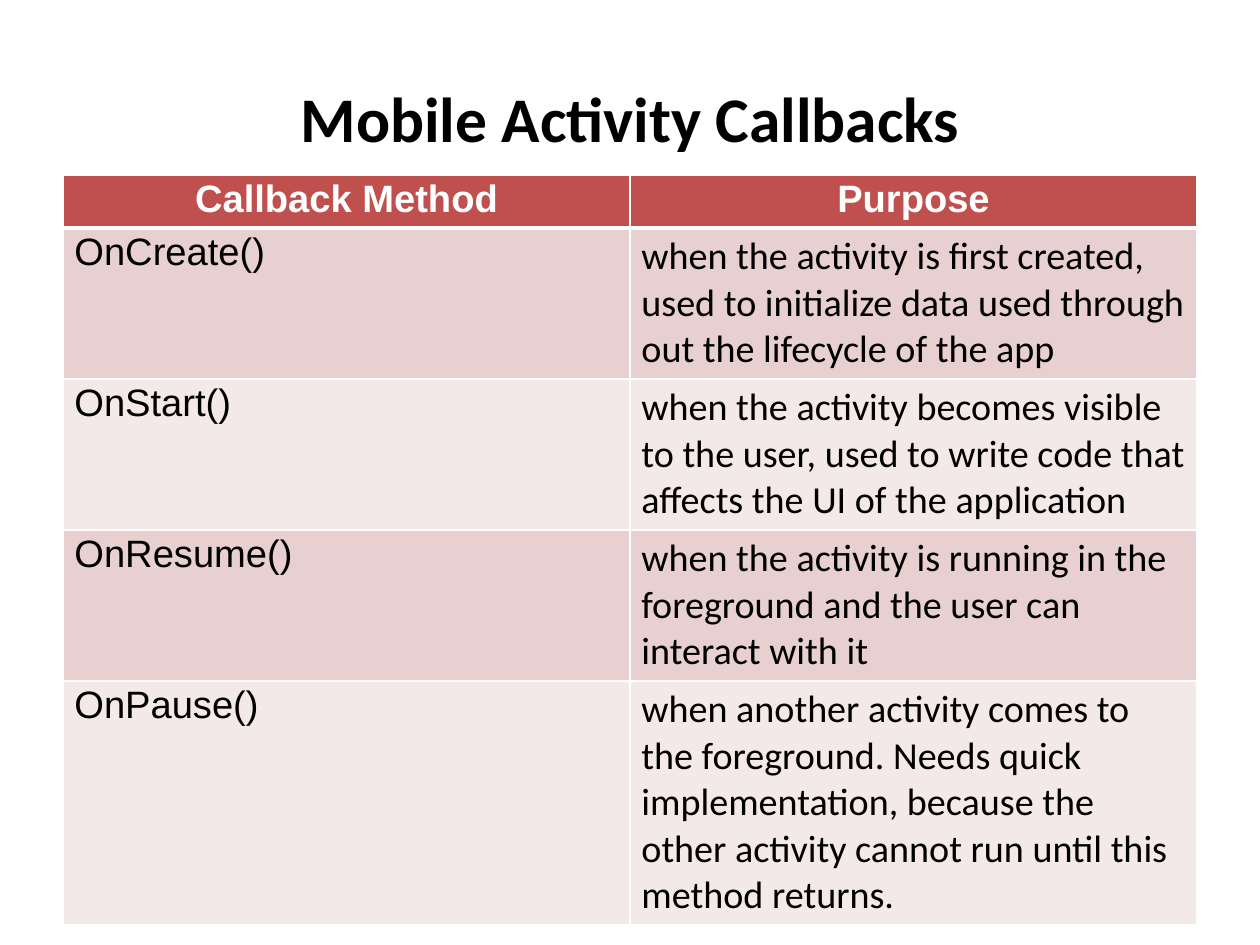
from dataclasses import dataclass

import pptx
import pptx.dml.color
import pptx.enum.text
import pptx.oxml
import pptx.oxml.ns
import pptx.table
import pptx.text.text
import pptx.util

EMU_PER_PX = 8000
SLIDE_SIZE = (1260, 945)
TITLE_BOX = (63, 38, 1134, 158)
TABLE_LEFT, TABLE_TOP = 63, 175
COLUMN_WIDTH = 567
HEADER_FILL = "C0504D"
BAND_FILLS = ("E8D0D0", "F4E9E9")
CENTER = pptx.enum.text.PP_ALIGN.CENTER
LEFT = pptx.enum.text.PP_ALIGN.LEFT


@dataclass(frozen=True)
class TextStyle:
    font: str
    size: int
    color: str = "000000"
    bold: bool = False
    alignment: pptx.enum.text.PP_ALIGN = LEFT
    line_spacing: float = 1.0


@dataclass(frozen=True)
class Callback:
    method: str
    purpose: str
    height: int


TITLE_STYLE = TextStyle("Calibri", 40, bold=True, alignment=CENTER)
HEADER_STYLE = TextStyle("Arial", 24, "FFFFFF", True, CENTER, 0.93)
METHOD_STYLE = TextStyle("Arial", 24, line_spacing=0.93)
PURPOSE_STYLE = TextStyle("Calibri", 24)

HEADER = Callback("Callback Method", "Purpose", 53)
CALLBACKS = (
    Callback(
        "OnCreate()",
        "when the activity is first created, used to initialize data used "
        "through out the lifecycle of the app",
        151,
    ),
    Callback(
        "OnStart()",
        "when the activity becomes visible to the user, used to write code "
        "that affects the UI of the application",
        151,
    ),
    Callback(
        "OnResume()",
        "when the activity is running in the foreground and the user can "
        "interact with it",
        151,
    ),
    Callback(
        "OnPause()",
        "when another activity comes to the foreground. Needs quick "
        "implementation, because the other activity cannot run until this "
        "method returns.",
        243,
    ),
)


def px(length: int) -> pptx.util.Emu:
    return pptx.util.Emu(length * EMU_PER_PX)


def rgb(color: str) -> pptx.dml.color.RGBColor:
    return pptx.dml.color.RGBColor.from_string(color)


def set_attributes(target: object, values: dict) -> None:
    for name, value in values.items():
        setattr(target, name, value)


def write_text(frame: pptx.text.text.TextFrame, text: str, style: TextStyle) -> None:
    paragraph = frame.paragraphs[0]
    set_attributes(
        paragraph,
        {"alignment": style.alignment, "line_spacing": style.line_spacing},
    )
    run = paragraph.add_run()
    run.text = text
    set_attributes(
        run.font,
        {"name": style.font, "size": pptx.util.Pt(style.size), "bold": style.bold},
    )
    run.font.color.rgb = rgb(style.color)


def add_borders(cell: pptx.table._Cell, widths: dict[str, int]) -> None:
    """Draw white borders, with widths in points keyed by side."""
    properties = cell._tc.get_or_add_tcPr()
    for side, width in widths.items():
        properties.append(
            pptx.oxml.parse_xml(
                f'<a:ln{side} {pptx.oxml.ns.nsdecls("a")} w="{pptx.util.Pt(width)}">'
                '<a:solidFill><a:srgbClr val="FFFFFF"/></a:solidFill>'
                f"</a:ln{side}>"
            )
        )


def add_title(slide: pptx.slide.Slide) -> None:
    title = slide.shapes.title
    names = ("left", "top", "width", "height")
    set_attributes(title, dict(zip(names, map(px, TITLE_BOX))))
    title.text_frame.vertical_anchor = pptx.enum.text.MSO_ANCHOR.MIDDLE
    write_text(title.text_frame, "Mobile Activity Callbacks", TITLE_STYLE)


def add_callback_table(slide: pptx.slide.Slide) -> None:
    rows = (HEADER, *CALLBACKS)
    table = slide.shapes.add_table(
        len(rows), 2, px(TABLE_LEFT), px(TABLE_TOP),
        px(2 * COLUMN_WIDTH), px(sum(row.height for row in rows)),
    ).table
    table.horz_banding = False
    for column in table.columns:
        column.width = px(COLUMN_WIDTH)

    for index, row in enumerate(rows):
        table.rows[index].height = px(row.height)
        is_header = index == 0
        fill = HEADER_FILL if is_header else BAND_FILLS[(index - 1) % 2]
        styles = (HEADER_STYLE,) * 2 if is_header else (METHOD_STYLE, PURPOSE_STYLE)
        borders = {
            "L": 1,
            "R": 1,
            "T": 3 if index == 1 else 1,
            "B": 3 if is_header else 1,
        }
        for column, (text, style) in enumerate(zip((row.method, row.purpose), styles)):
            cell = table.cell(index, column)
            add_borders(cell, borders)
            cell.fill.solid()
            cell.fill.fore_color.rgb = rgb(fill)
            write_text(cell.text_frame, text, style)


def main() -> None:
    presentation = pptx.Presentation()
    width, height = map(px, SLIDE_SIZE)
    set_attributes(presentation, {"slide_width": width, "slide_height": height})
    slide = presentation.slides.add_slide(presentation.slide_layouts[5])
    add_title(slide)
    add_callback_table(slide)
    presentation.save("out.pptx")


if __name__ == "__main__":
    main()
